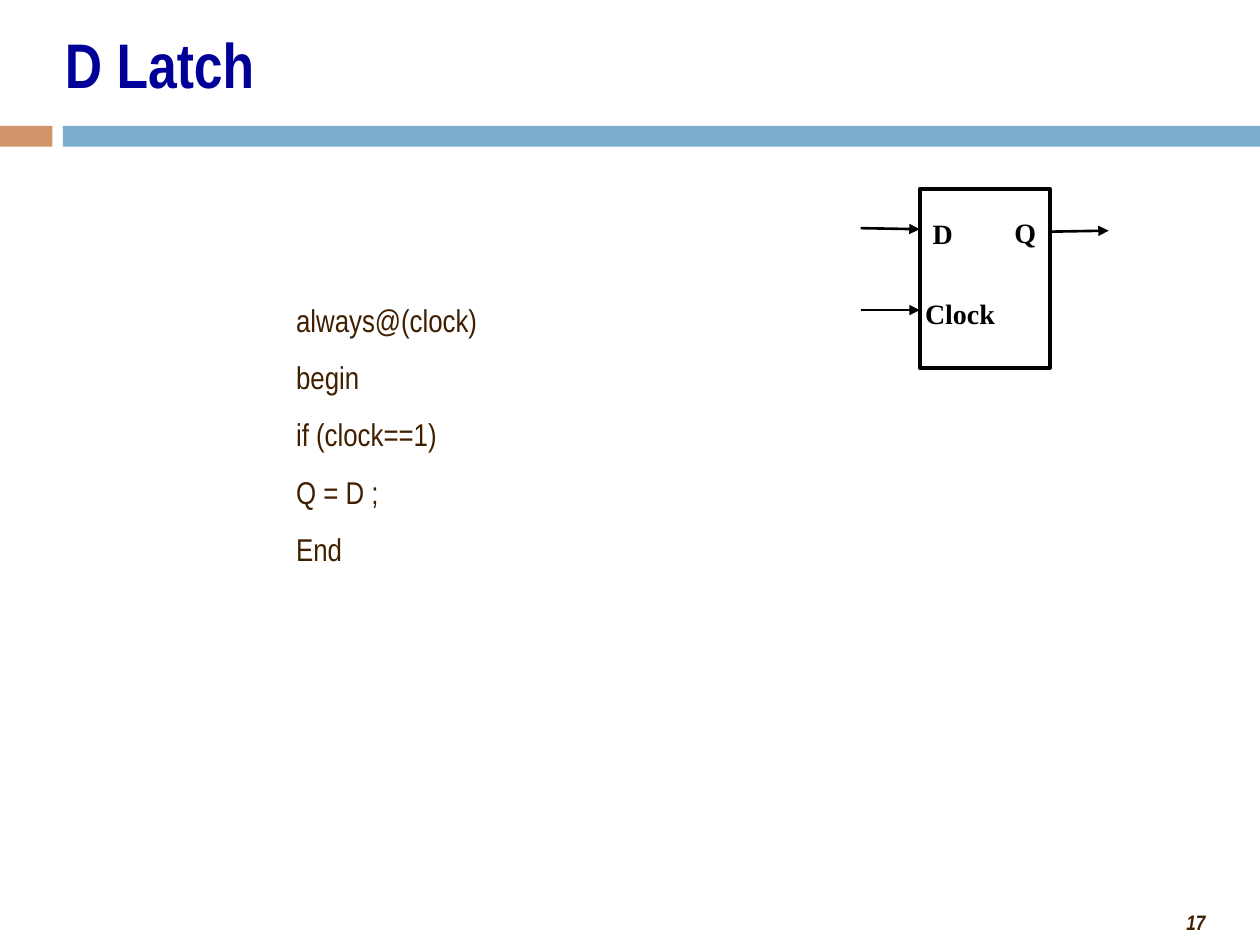
from lxml import etree
from pptx import Presentation
from pptx.dml.color import RGBColor
from pptx.enum.shapes import MSO_CONNECTOR, MSO_SHAPE
from pptx.enum.text import MSO_ANCHOR, PP_ALIGN
from pptx.oxml.ns import qn
from pptx.util import Cm, Pt

RECTANGLE = MSO_SHAPE.RECTANGLE
STRAIGHT = MSO_CONNECTOR.STRAIGHT
TOP, MIDDLE = MSO_ANCHOR.TOP, MSO_ANCHOR.MIDDLE
LEFT, RIGHT = PP_ALIGN.LEFT, PP_ALIGN.RIGHT

COLORS = {
    "title": "000099",
    "body": "402000",
    "ink": "000000",
    "paper": "FFFFFF",
    "accent": "CF9467",
    "band": "7AADCC",
}
SANS, SERIF = "Arial Narrow", "Times New Roman"


class LatchSlide:
    def __init__(self, slide):
        self.shapes = slide.shapes

    def color(self, name):
        return RGBColor.from_string(COLORS[name])

    def rectangle(self, x, y, width, height, fill, outline=None):
        box = self.shapes.add_shape(RECTANGLE, Cm(x), Cm(y), Cm(width), Cm(height))
        box.shadow.inherit = False
        box.fill.solid()
        box.fill.fore_color.rgb = self.color(fill)
        if outline:
            box.line.color.rgb = self.color(outline)
            box.line.width = Pt(2.25)
        else:
            box.line.fill.background()

    def text(self, x, y, width, height, lines, size, color, font=SANS, bold=False,
             italic=False, align=LEFT, anchor=TOP, margins=(0.25, 0.13), gap=0):
        frame = self.shapes.add_textbox(Cm(x), Cm(y), Cm(width), Cm(height)).text_frame
        frame.word_wrap = True
        frame.vertical_anchor = anchor
        frame.margin_left = frame.margin_right = Cm(margins[0])
        frame.margin_top = frame.margin_bottom = Cm(margins[1])
        for index, line in enumerate(lines):
            paragraph = frame.add_paragraph() if index else frame.paragraphs[0]
            paragraph.alignment = align
            if index:
                paragraph.space_before = Pt(gap)
            run = paragraph.add_run()
            run.text = line
            run.font.name = font
            run.font.size = Pt(size)
            run.font.bold = bold
            run.font.italic = italic
            run.font.color.rgb = self.color(color)

    def pin_label(self, x, y, width, name):
        self.text(x, y, width, 0.69, [name], 16, "ink", SERIF, bold=True, margins=(0, 0))

    def arrow(self, x1, y1, x2, y2):
        wire = self.shapes.add_connector(STRAIGHT, Cm(x1), Cm(y1), Cm(x2), Cm(y2))
        wire.line.color.rgb = self.color("ink")
        wire.line.width = Pt(1.5)
        etree.SubElement(wire.line._get_or_add_ln(), qn("a:tailEnd"), type="triangle")
        etree.SubElement(wire._element.spPr, qn("a:effectLst"))


def main():
    deck = Presentation()
    deck.slide_width, deck.slide_height = Cm(25.4), Cm(19.05)
    page = LatchSlide(deck.slides.add_slide(deck.slide_layouts[6]))

    page.text(19.05, 18.21, 5.5, 0.76, ["17"], 12, "body", bold=True, italic=True, align=RIGHT)
    page.rectangle(0, 2.54, 1.06, 0.42, "accent")
    page.rectangle(1.27, 2.54, 24.13, 0.42, "band")

    latch_left, latch_width, wire_length = 18.54, 2.62, 1.19
    latch_right = latch_left + latch_width
    page.rectangle(latch_left, 3.81, latch_width, 3.61, "paper", "ink")
    for start_y, end_y in ((4.6, 4.62), (6.25, 6.25)):
        page.arrow(latch_left - wire_length, start_y, latch_left, end_y)
    page.arrow(latch_right, 4.67, latch_right + wire_length, 4.65)
    for x, y, width, name in (
        (18.8, 4.37, 0.56, "D"),
        (20.45, 4.34, 0.61, "Q"),
        (18.65, 5.97, 1.68, "Clock"),
    ):
        page.pin_label(x, y, width, name)

    page.text(1.06, 0.21, 23.28, 2.12, ["D Latch"], 36, "title", bold=True, anchor=MIDDLE)
    verilog = ["always@(clock)", "begin", "if (clock==1)", "Q = D ;", "End"]
    page.text(5.72, 5.93, 8.89, 6.43, verilog, 18, "body", gap=11.2)

    deck.save("out.pptx")


if __name__ == "__main__":
    main()
